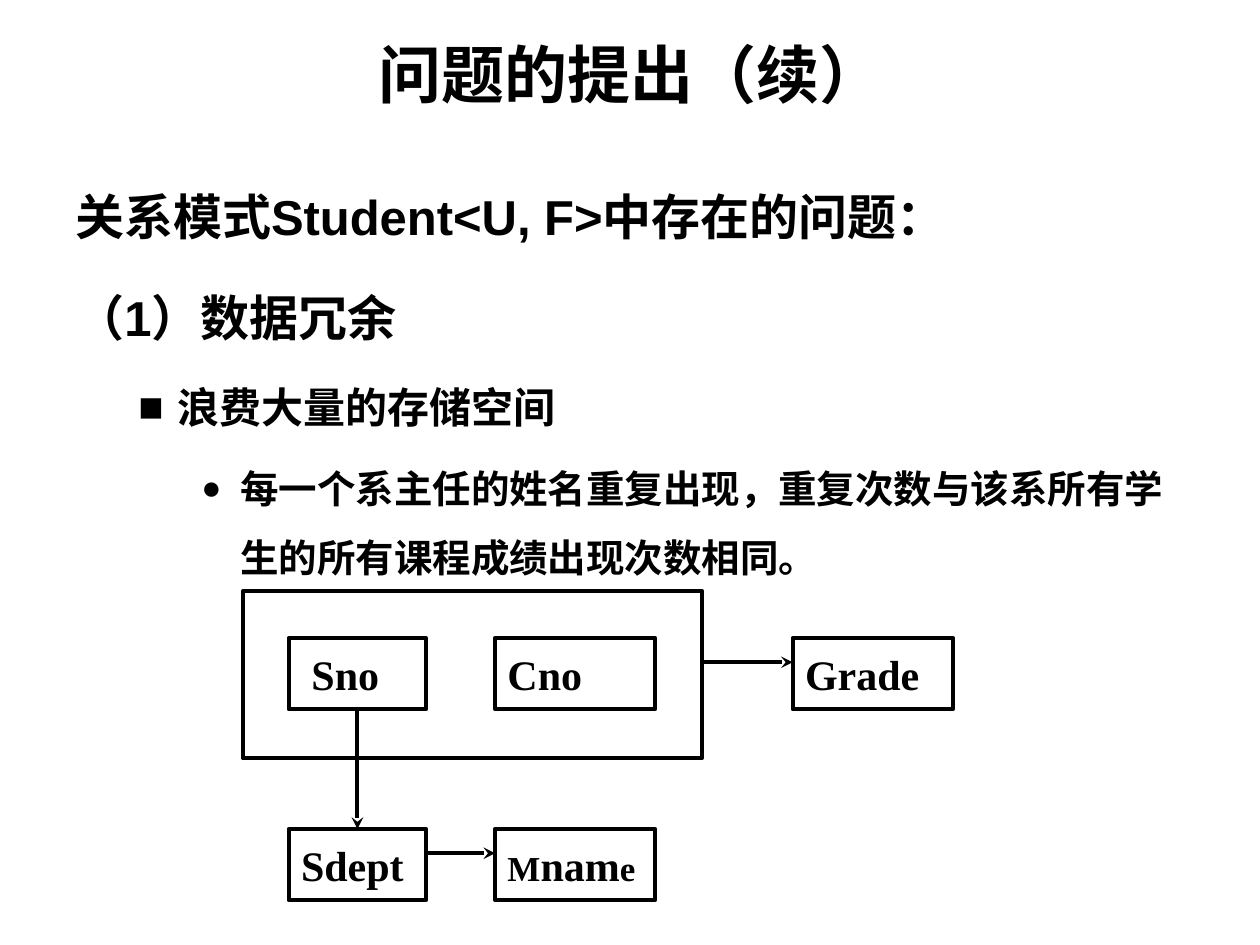
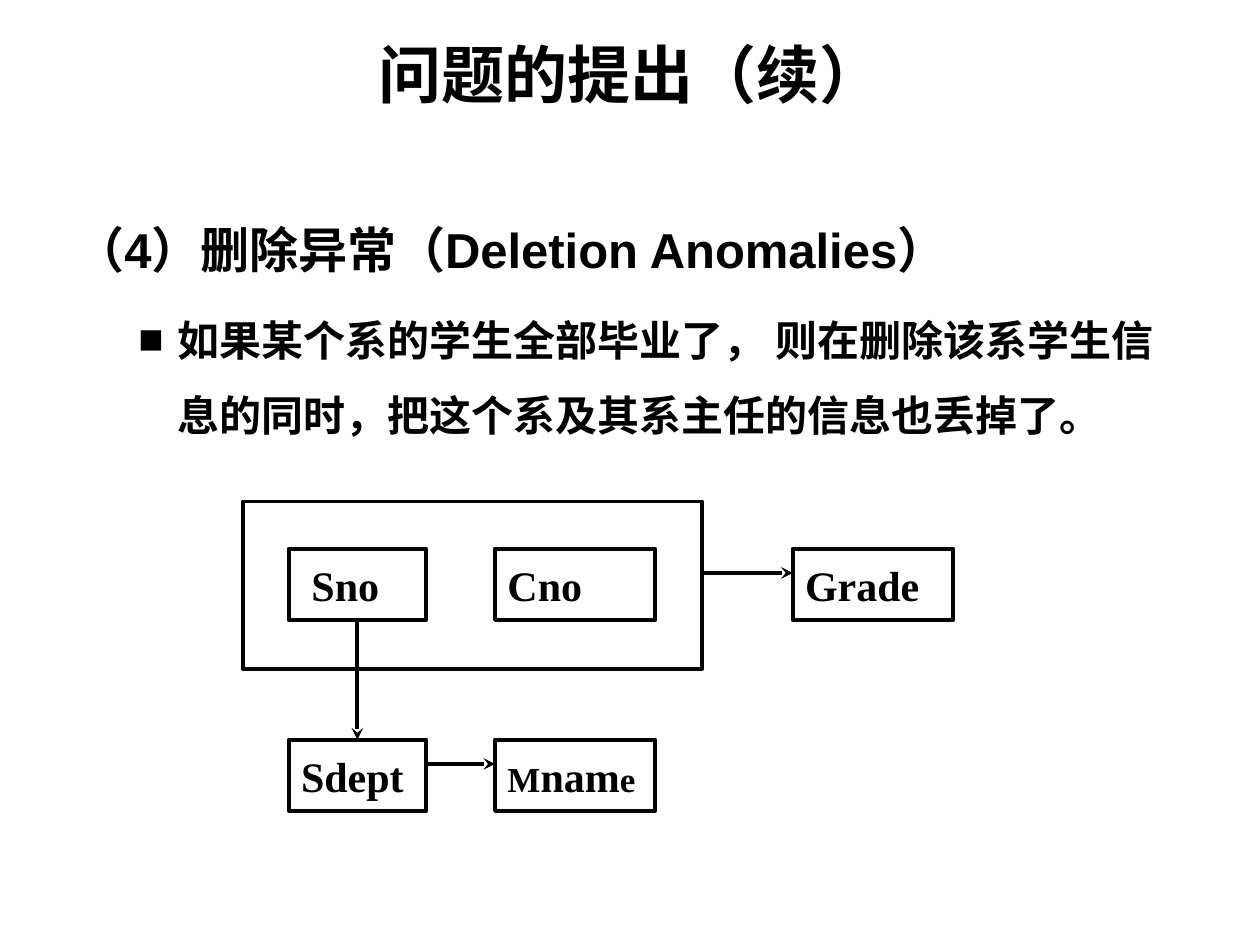
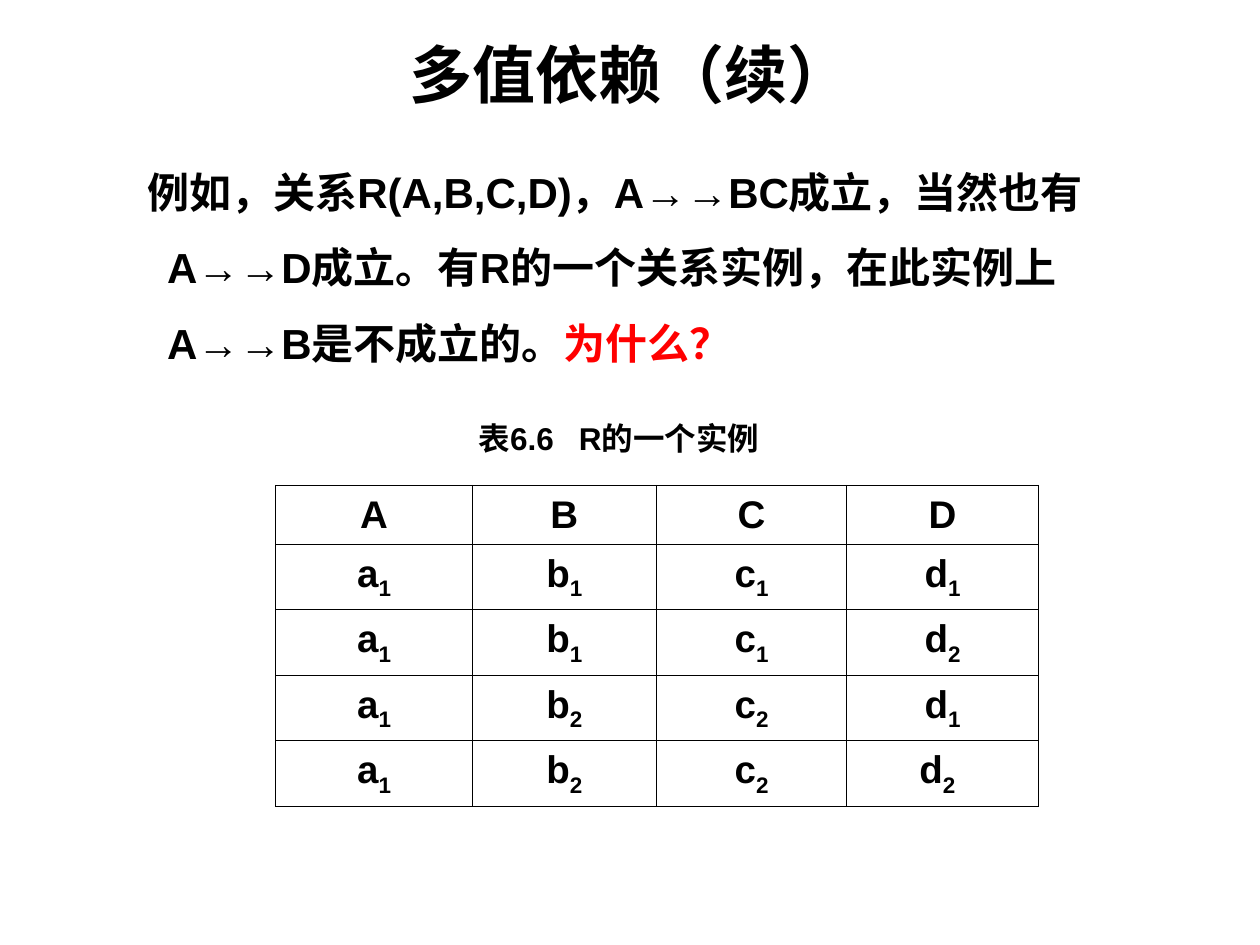
from dataclasses import dataclass

import pptx
import pptx.dml.color
import pptx.enum.shapes
import pptx.enum.text
import pptx.oxml
import pptx.oxml.ns
import pptx.util
from pptx.util import Cm, Pt

# Shared look
BLACK, RED = "000000", "FF0000"
SANS, SERIF = "Arial", "Times New Roman"
MIDDLE = pptx.enum.text.MSO_ANCHOR.MIDDLE
CENTER = pptx.enum.text.PP_ALIGN.CENTER
LEFT = pptx.enum.text.PP_ALIGN.LEFT
RULE_WIDTH = Pt(2.25)


@dataclass(frozen=True)
class Level:
    size: float
    margin: float
    indent: float
    space_before: float
    bullet: str = ""
    bullet_percent: int = 100


@dataclass(frozen=True)
class Piece:
    text: str
    size: float
    color: str = BLACK
    subscript: bool = False


@dataclass(frozen=True)
class Field:
    pieces: tuple[Piece, ...]
    left: float
    width: float
    row: int
    indent: float = 0


HEADING = Level(28, 0.95, -0.95, 7)
POINT = Level(24, 2.06, -0.79, 6, "■")
DETAIL = Level(22, 3.33, -0.79, 5.5, "●", 87)
EXAMPLE = Level(24, 2.23, -0.4, 6)

# Dependency diagram, measured from the top of the key frame
FIELD_HEIGHT = 1.44
FIELD_ROWS = (0.95, 4.8)
ARROW_DROP = 0.49
KEY_LEFT, KEY_WIDTH, KEY_HEIGHT = 4.9, 9.25, 3.38
FIELDS = {
    "Sno": Field((Piece("Sno", 24),), 5.82, 2.77, 0, 0.21),
    "Cno": Field((Piece("Cno", 24),), 9.98, 3.23, 0),
    "Grade": Field((Piece("Grade", 24),), 15.98, 3.23, 0),
    "Sdept": Field((Piece("Sdept", 24),), 5.82, 2.77, 1),
    "Mname": Field((Piece("M", 20), Piece("nam", 24), Piece("e", 20)), 9.98, 3.23, 1),
}

# Table of the relation instance
COLUMN_WIDTHS = (3.96, 3.71, 3.84, 3.86)
HEADER_HEIGHT, ROW_HEIGHT = 0.94, 1.07
INSTANCE = ("A B C D", "a1 b1 c1 d1", "a1 b1 c1 d2", "a1 b2 c2 d1", "a1 b2 c2 d2")


def rgb(color: str):
    return pptx.dml.color.RGBColor.from_string(color)


def add_child(parent, tag: str, **attributes):
    child = pptx.oxml.ns.qn(tag)
    element = parent.makeelement(child, {key: str(value) for key, value in attributes.items()})
    parent.append(element)
    return element


def add_piece(paragraph, piece: Piece, font: str = SANS) -> None:
    run = paragraph.add_run()
    run.text = piece.text
    run.font.name = font
    run.font.size = Pt(piece.size)
    run.font.bold = True
    run.font.color.rgb = rgb(piece.color)
    if piece.subscript:
        run.font._element.set("baseline", "-25000")


def set_level(paragraph, level: Level) -> None:
    properties = paragraph._p.get_or_add_pPr()
    properties.set("marL", str(Cm(level.margin)))
    properties.set("indent", str(Cm(level.indent)))
    paragraph.line_spacing = 1.5
    if level.bullet:
        color = add_child(properties, "a:buClr")
        add_child(color, "a:srgbClr", val=BLACK)
        add_child(properties, "a:buSzPct", val=level.bullet_percent * 1000)
        add_child(properties, "a:buFont", typeface=SANS)
        add_child(properties, "a:buChar", char=level.bullet)


def add_titled_slide(deck, text: str):
    slide = deck.slides.add_slide(deck.slide_layouts[5])
    title = slide.shapes.title
    title.left, title.top, title.width, title.height = Cm(1.27), Cm(-0.1), Cm(22.86), Cm(3.15)
    title.text_frame.vertical_anchor = MIDDLE
    paragraph = title.text_frame.paragraphs[0]
    paragraph.alignment = CENTER
    add_piece(paragraph, Piece(text, 36))
    return slide


def add_body(slide, left: float, top: float, width: float, height: float,
             paragraphs: list[tuple[Level, list[tuple[str, str]]]]) -> None:
    frame = slide.shapes.add_textbox(Cm(left), Cm(top), Cm(width), Cm(height)).text_frame
    frame.word_wrap = True
    for number, (level, parts) in enumerate(paragraphs):
        paragraph = frame.add_paragraph() if number else frame.paragraphs[0]
        set_level(paragraph, level)
        if number:
            paragraph.space_before = Pt(level.space_before)
        for text, color in parts:
            add_piece(paragraph, Piece(text, level.size, color))


def add_frame(shapes, left: float, top: float, width: float, height: float):
    frame = shapes.add_shape(pptx.enum.shapes.MSO_SHAPE.RECTANGLE,
                             Cm(left), Cm(top), Cm(width), Cm(height))
    frame.shadow.inherit = False
    frame.fill.background()
    frame.line.color.rgb = rgb(BLACK)
    frame.line.width = RULE_WIDTH
    return frame


def add_field(shapes, field: Field, top: float):
    box = add_frame(shapes, field.left, top + FIELD_ROWS[field.row], field.width, FIELD_HEIGHT)
    box.text_frame.vertical_anchor = MIDDLE
    paragraph = box.text_frame.paragraphs[0]
    paragraph.alignment = LEFT
    paragraph._p.get_or_add_pPr().set("marL", str(Cm(field.indent)))
    for piece in field.pieces:
        add_piece(paragraph, piece, SERIF)
    return box


def add_arrow(shapes, x1: int, y1: int, x2: int, y2: int):
    arrow = shapes.add_connector(pptx.enum.shapes.MSO_CONNECTOR.STRAIGHT, x1, y1, x2, y2)
    arrow.line.color.rgb = rgb(BLACK)
    arrow.line.width = RULE_WIDTH
    add_child(arrow.line._get_or_add_ln(), "a:tailEnd", type="stealth")
    add_child(arrow._element.spPr, "a:effectLst")
    return arrow


def add_dependencies(slide, top: float) -> None:
    shapes = slide.shapes.add_group_shape().shapes
    key = add_frame(shapes, KEY_LEFT, top, KEY_WIDTH, KEY_HEIGHT)
    boxes = {name: add_field(shapes, field, top) for name, field in FIELDS.items()}

    sno, sdept = boxes["Sno"], boxes["Sdept"]
    middle = sno.left + sno.width // 2
    down = add_arrow(shapes, middle, sno.top + sno.height, middle, sdept.top)
    down.begin_connect(sno, 2)
    down.end_connect(sdept, 0)

    for source, target in ((key, boxes["Grade"]), (sdept, boxes["Mname"])):
        level = target.top + Cm(ARROW_DROP)
        add_arrow(shapes, source.left + source.width, level, target.left, level)


def add_cell(cell, text: str) -> None:
    cell.vertical_anchor = MIDDLE
    cell.margin_left = cell.margin_right = Cm(0.2)
    cell.margin_top = cell.margin_bottom = Cm(0.13)
    paragraph = cell.text_frame.paragraphs[0]
    paragraph.alignment = CENTER
    add_piece(paragraph, Piece(text[0], 22))
    if text[1:]:
        add_piece(paragraph, Piece(text[1:], 22, subscript=True))
    properties = cell._tc.get_or_add_tcPr()
    for side in ("a:lnL", "a:lnR", "a:lnT", "a:lnB"):
        border = add_child(properties, side, w=Pt(0.45))
        add_child(add_child(border, "a:solidFill"), "a:srgbClr", val=BLACK)
    cell.fill.background()


def add_instance(slide) -> None:
    heights = [HEADER_HEIGHT] + [ROW_HEIGHT] * (len(INSTANCE) - 1)
    table = slide.shapes.add_table(len(heights), len(COLUMN_WIDTHS), Cm(5.56), Cm(9.78),
                                   Cm(sum(COLUMN_WIDTHS)), Cm(sum(heights))).table
    table.first_row = table.horz_banding = False
    for column, width in zip(table.columns, COLUMN_WIDTHS):
        column.width = Cm(width)
    for row, height, values in zip(table.rows, heights, INSTANCE):
        row.height = Cm(height)
        for cell, value in zip(row.cells, values.split()):
            add_cell(cell, value)
    # The last value sits slightly left of centre
    table.cell(len(heights) - 1, len(COLUMN_WIDTHS) - 1).margin_right = Cm(0.41)


def add_caption(slide) -> None:
    frame = slide.shapes.add_textbox(Cm(9.4), Cm(8.33), Cm(6.3), Cm(1.02)).text_frame
    frame.word_wrap = True
    frame.margin_right = 0
    paragraph = frame.paragraphs[0]
    tabs = add_child(paragraph._p.get_or_add_pPr(), "a:tabLst")
    add_child(tabs, "a:tab", pos=Cm(2.02), algn="l")
    add_piece(paragraph, Piece("表6.6\tR的一个实例", 18))


def main() -> None:
    deck = pptx.Presentation()
    deck.slide_width, deck.slide_height = Cm(25.4), Cm(19.05)

    # Redundancy
    redundancy = add_titled_slide(deck, "问题的提出（续）")
    add_body(redundancy, 1.27, 3.05, 22.86, 14.15, [
        (HEADING, [("关系模式Student<U, F>中存在的问题：", BLACK)]),
        (HEADING, [("（1）数据冗余", BLACK)]),
        (POINT, [("浪费大量的存储空间", BLACK)]),
        (DETAIL, [("每一个系主任的姓名重复出现，重复次数与该系所有学生的所有课程成绩出现次数相同。", BLACK)]),
    ])
    add_dependencies(redundancy, 11.91)

    # Deletion anomalies
    deletion = add_titled_slide(deck, "问题的提出（续）")
    add_body(deletion, 1.27, 3.71, 22.86, 13.49, [
        (HEADING, [("（4）删除异常（Deletion Anomalies）", BLACK)]),
        (POINT, [("如果某个系的学生全部毕业了， 则在删除该系学生信息的同时，"
                  "把这个系及其系主任的信息也丢掉了。", BLACK)]),
    ])
    add_dependencies(deletion, 10.11)

    # Multivalued dependency
    multivalued = add_titled_slide(deck, "多值依赖（续）")
    add_body(multivalued, 0.89, 2.72, 23.32, 13.49, [
        (EXAMPLE, [("例如，关系R(A,B,C,D)，A→→BC成立，当然也有A→→D成立。"
                    "有R的一个关系实例，在此实例上A→→B是不成立的。", BLACK),
                   ("为什么？", RED)]),
    ])
    add_instance(multivalued)
    add_caption(multivalued)

    deck.save("out.pptx")


if __name__ == "__main__":
    main()
